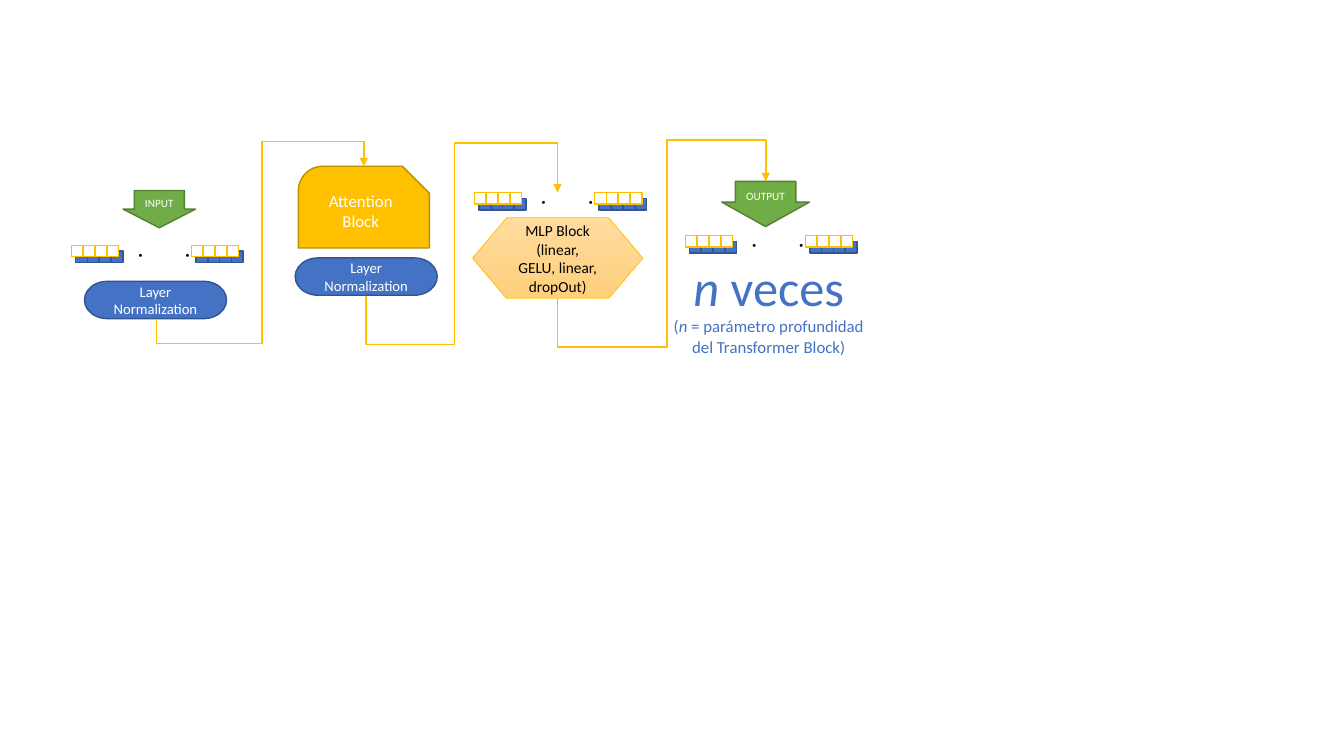
from copy import deepcopy

from lxml import etree
from pptx import Presentation
from pptx.dml.color import RGBColor
from pptx.enum.shapes import MSO_CONNECTOR, MSO_SHAPE
from pptx.enum.text import MSO_ANCHOR, MSO_AUTO_SIZE, PP_ALIGN
from pptx.oxml.ns import qn
from pptx.util import Cm, Pt

ELBOW = MSO_CONNECTOR.ELBOW
SQUARE = MSO_SHAPE.RECTANGLE
ATTENTION = MSO_SHAPE.SNIP_ROUND_RECTANGLE
HEXAGON = MSO_SHAPE.FLOWCHART_PREPARATION
PILL = MSO_SHAPE.FLOWCHART_TERMINATOR
ARROW = MSO_SHAPE.DOWN_ARROW
CENTER = PP_ALIGN.CENTER
MIDDLE = MSO_ANCHOR.MIDDLE
FIT_SHAPE = MSO_AUTO_SIZE.SHAPE_TO_FIT_TEXT

COLORS = {
    "white": "FFFFFF", "black": "000000",
    "blue": "4472C4", "navy": "325491",
    "gold": "FFC000", "dark gold": "BD8E00",
    "green": "70AD47", "dark green": "538035",
    "peach": "FFDB9E", "apricot": "FFD07C",
}
FONT = "Calibri"

# Token rows (cm)
TOKEN_SIZE, TOKEN_PITCH, TOKENS = 0.29, 0.3, 4
GROUP_STEP = 3.03


def color(name):
    return RGBColor.from_string(COLORS[name])


def style_span(span, size, ink, bold=None, italic=None):
    span.font.name = FONT
    span.font.size = Pt(size)
    span.font.bold = bold
    span.font.italic = italic
    span.font.color.rgb = color(ink)


def match_breaks(para):
    """Give each line break the format of the text before it."""
    for line_break in para._p.findall(qn("a:br")):
        properties = line_break.getprevious().find(qn("a:rPr"))
        line_break.insert(0, deepcopy(properties))


def add_block(page, kind, box, fill, line, text="", size=8, ink="white",
              adjustments=(), line_width=1):
    shape = page.shapes.add_shape(kind, *[Cm(length) for length in box])
    shape.shadow.inherit = False
    if isinstance(fill, tuple):
        shape.fill.gradient()
        shape.fill.gradient_angle = 270
        for stop, name in zip(shape.fill.gradient_stops, fill):
            stop.color.rgb = color(name)
    else:
        shape.fill.solid()
        shape.fill.fore_color.rgb = color(fill)
    shape.line.color.rgb = color(line)
    shape.line.width = Pt(line_width)
    for index, value in enumerate(adjustments):
        shape.adjustments[index] = value
    if text:
        frame = shape.text_frame
        frame.text = text
        frame.vertical_anchor = MIDDLE
        para = frame.paragraphs[0]
        para.alignment = CENTER
        for span in para.runs:
            style_span(span, size, ink)
        match_breaks(para)
    return shape


def add_text_box(page, left, top, width, height):
    box = page.shapes.add_textbox(Cm(left), Cm(top), Cm(width), Cm(height))
    box.text_frame.word_wrap = False
    box.text_frame.auto_size = FIT_SHAPE
    return box


def add_tokens(page, left, top, fill, line):
    """Two groups of small squares in one layer."""
    for group in range(2):
        for token in range(TOKENS):
            x = left + group * GROUP_STEP + token * TOKEN_PITCH
            add_block(page, SQUARE, (x, top, TOKEN_SIZE, TOKEN_SIZE), fill, line)


def add_token_row(page, left, top):
    add_tokens(page, left + 0.11, top + 0.15, "blue", "navy")
    dots = add_text_box(page, left + 1.78, top - 0.63, 0.58, 1.83)
    dots.rotation = 270
    dots.text_frame.text = ".\v.\n."
    for para in dots.text_frame.paragraphs:
        para.alignment = CENTER
        for span in para.runs:
            style_span(span, 14, "black", bold=True)
        match_breaks(para)
    add_tokens(page, left, top, "white", "gold")


def add_feed(page, start, end, bottom, middle, top):
    """Arrow that leaves downwards, climbs at middle and enters from above."""
    (x1, y1), (x2, y2) = start, end
    rise, run = y1 - y2, x2 - x1
    center_x, center_y = (x1 + x2) / 2, (y1 + y2) / 2
    left, upper = center_x - rise / 2, center_y - run / 2
    feed = page.shapes.add_connector(
        ELBOW, Cm(left), Cm(upper), Cm(left + rise), Cm(upper + run))
    feed.line.color.rgb = color("gold")
    feed.line.width = Pt(1)

    properties = feed._element.spPr
    frame = properties.find(qn("a:xfrm"))
    for name, value in (("rot", "5400000"), ("flipH", "1"), ("flipV", "1")):
        frame.set(name, value)
    geometry = properties.find(qn("a:prstGeom"))
    geometry.set("prst", "bentConnector5")
    guides = geometry.find(qn("a:avLst"))
    if guides is None:
        guides = etree.SubElement(geometry, qn("a:avLst"))
    ratios = ((y1 - bottom) / rise, (middle - x1) / run, (y1 - top) / rise)
    for number, ratio in enumerate(ratios, 1):
        etree.SubElement(guides, qn("a:gd"), name=f"adj{number}",
                         fmla=f"val {round(ratio * 100000)}")
    etree.SubElement(properties.find(qn("a:ln")), qn("a:tailEnd"), type="triangle")
    etree.SubElement(properties, qn("a:effectLst"))


def add_layer_norm(page, left, top):
    add_block(page, PILL, (left, top, 3.58, 0.94), "blue", "navy",
              "Layer Normalization", 10.5)


def add_port(page, box, text, head):
    add_block(page, ARROW, box, "green", "dark green", text, 8,
              adjustments=(0.69, head))


def add_caption(page, left, top):
    box = add_text_box(page, left, top, 5.33, 2.82)
    para = box.text_frame.paragraphs[0]
    para.alignment = CENTER
    lines = (
        (("n", 36, True), (" veces", 36, False)),
        (("(", 12, False), ("n", 12, True), (" = parámetro profundidad", 12, False)),
        (("del Transformer Block)", 12, False),),
    )
    for index, line in enumerate(lines):
        if index:
            para.add_line_break()
        for text, size, italic in line:
            span = para.add_run()
            span.text = text
            style_span(span, size, "blue", italic=italic)
    match_breaks(para)


def build_transformer_block(page):
    # Attention and input
    add_block(page, ATTENTION, (7.52, 4.19, 3.3, 2.06), "gold", "dark gold",
              "Attention Block", 12, adjustments=(0.3, 0.33))
    add_token_row(page, 1.8, 6.18)
    add_token_row(page, 17.27, 5.94)

    # Multilayer perceptron
    add_block(page, HEXAGON, (11.91, 5.49, 4.29, 2.03), ("peach", "apricot"),
              "gold", "MLP Block\v(linear, GELU, linear, dropOut)", 11, "black",
              line_width=0.5)

    # Normalization and ports
    add_layer_norm(page, 2.13, 7.09)
    add_port(page, (3.1, 4.8, 1.83, 0.94), "INPUT", 0.5)
    add_port(page, (18.19, 4.57, 2.21, 1.14), "OUTPUT", 0.54)

    # Flow between stages
    add_feed(page, (9.22, 7.44), (14.05, 4.85), 8.69, 11.46, 3.61)
    add_feed(page, (3.94, 8.03), (9.17, 4.19), 8.66, 6.6, 3.56)
    add_feed(page, (14.05, 7.52), (19.3, 4.57), 8.74, 16.81, 3.53)

    add_layer_norm(page, 7.44, 6.5)
    add_token_row(page, 11.96, 4.85)
    add_caption(page, 16.71, 6.32)


def main():
    deck = Presentation()
    deck.slide_width, deck.slide_height = Cm(33.87), Cm(19.05)
    page = deck.slides.add_slide(deck.slide_layouts[6])
    build_transformer_block(page)
    deck.save("out.pptx")


if __name__ == "__main__":
    main()
